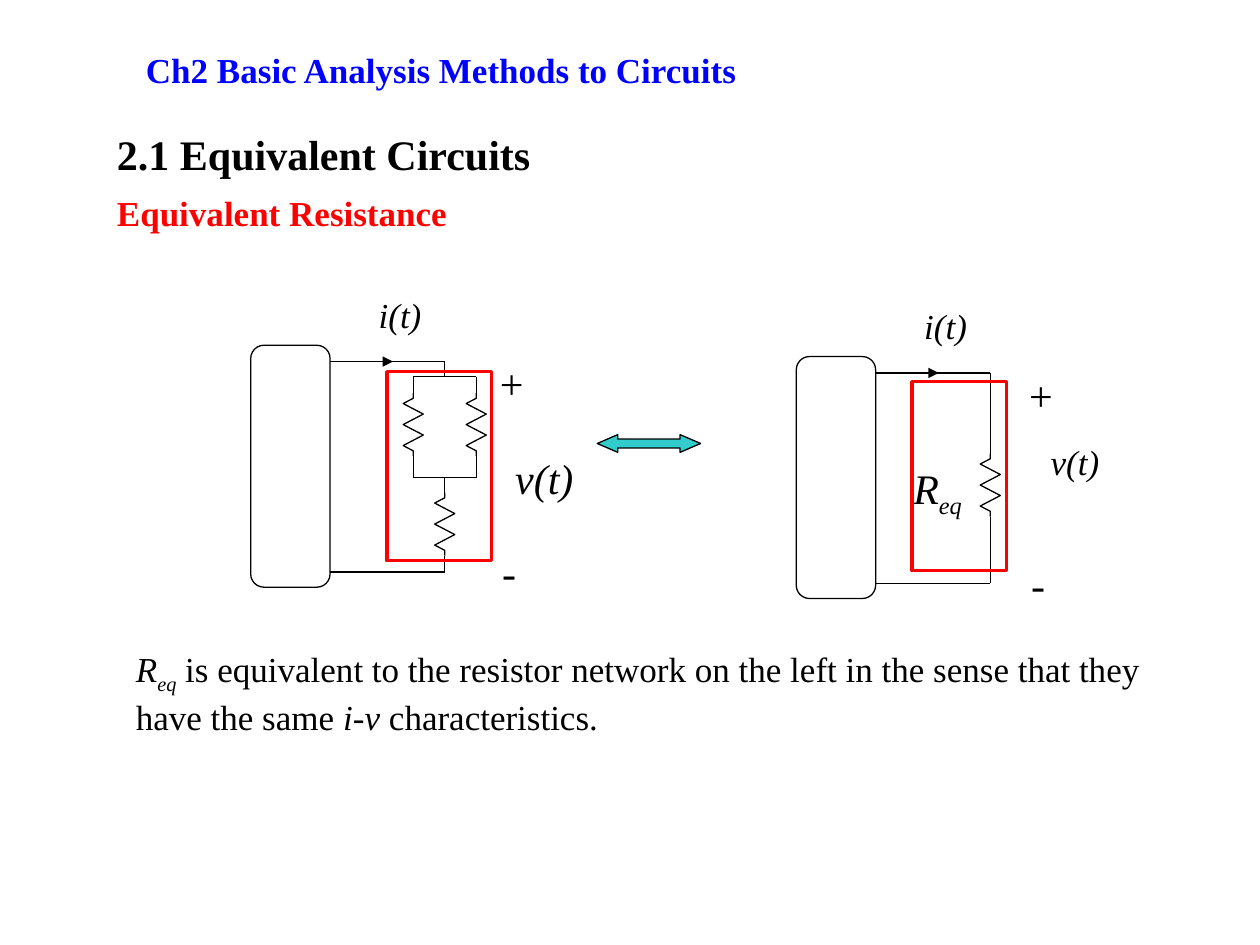
from pptx import Presentation
from pptx.dml.color import RGBColor
from pptx.enum.shapes import MSO_CONNECTOR as Connector, MSO_SHAPE as Shape
from pptx.enum.text import MSO_ANCHOR as Anchor, PP_ALIGN as Align
from pptx.oxml.ns import qn
from pptx.util import Inches, Pt
from lxml.etree import SubElement

WIDTH, HEIGHT = 10, 7.5
FONT = "Times New Roman"
COLORS = {"title": "0000FF", "accent": "FF0000", "ink": "000000", "arrow": "33CCCC"}
LEFT, CENTER = Align.LEFT, Align.CENTER

# Spans are (text, style); the style letters are i = italic, s = subscript.
# left, top, width, height, size, color, bold, anchor, spans
TEXTS = [
    (0.83, 0.97, 6.08, 0.5, 24, "ink", True, Anchor.TOP, [("2.1 Equivalent Circuits", "")]),
    (1.06, 0.28, 8.19, 0.55, 20, "title", True, Anchor.MIDDLE,
     [("Ch2 Basic Analysis Methods to Circuits", "")]),
    (0.83, 1.47, 4.73, 0.44, 20, "accent", True, Anchor.TOP, [("Equivalent Resistance", "")]),
    (0.98, 5.09, 8.27, 0.82, 20, "ink", False, Anchor.TOP,
     [("R", "i"), ("eq", "is"),
      (" is equivalent to the resistor network on the left in the sense that they have the same ", ""),
      ("i-v", "i"), (" characteristics.", "")]),
]

# Circuit parts are measured from the top left corner of the source block.
BLOCK_W, BLOCK_H = 0.63, 1.92
RAIL, TOP_WIRE, BOTTOM_WIRE = 1.54, 0.13, 1.8
BRANCHES = (RAIL - 0.25, RAIL + 0.25)
NODE, JOIN = 0.25, 1.05
RESISTOR_H, ZIG = 0.5, 0.08
UPPER, LOWER, SINGLE = 0.38, 1.17, 0.77

CIRCUITS = [
    {"origin": (1.99, 2.74),
     "resistors": [(x, UPPER) for x in BRANCHES] + [(RAIL, LOWER)],
     "wires": [(RAIL, TOP_WIRE, RAIL, NODE), (RAIL, JOIN, RAIL, LOWER),
               (RAIL, LOWER + RESISTOR_H, RAIL, BOTTOM_WIRE)]
     + [(BRANCHES[0], y, BRANCHES[1], y) for y in (NODE, JOIN)]
     + [(x, y1, x, y2) for x in BRANCHES
        for y1, y2 in ((NODE, UPPER), (UPPER + RESISTOR_H, JOIN))],
     "sign_x": 1.88,
     "labels": [(2.0, 0.8, 0.68, 0.5, 24, LEFT, [("v(t)", "i")])],
     "frame": (1.08, 0.21, 0.83, 1.5)},
    {"origin": (6.32, 2.83),
     "resistors": [(RAIL, SINGLE)],
     "wires": [(RAIL, TOP_WIRE, RAIL, SINGLE),
               (RAIL, SINGLE + RESISTOR_H, RAIL, BOTTOM_WIRE)],
     "sign_x": 1.75,
     "labels": [(1.92, 0.62, 0.68, 0.44, 20, LEFT, [("v(t)", "i")]),
                (0.83, 0.79, 0.68, 0.56, 24, LEFT, [("R", "i"), ("eq", "is")])],
     "frame": (0.92, 0.2, 0.75, 1.5)},
]


def rgb(name):
    return RGBColor.from_string(COLORS[name])


def add_text(page, left, top, width, height, size, spans, color="ink", bold=False,
             align=LEFT, anchor=Anchor.TOP):
    box = page.shapes.add_textbox(*map(Inches, (left, top, width, height)))
    frame = box.text_frame
    frame.word_wrap = True
    frame.vertical_anchor = anchor
    para = frame.paragraphs[0]
    para.alignment = align
    font = para.font
    font.name, font.size, font.bold = FONT, Pt(size), bold
    font.color.rgb = rgb(color)
    for text, style in spans:
        span = para.add_run()
        span.text = text
        span.font.italic = "i" in style
        if "s" in style:
            span.font._element.set("baseline", "-25000")


def style_shape(shape, fill=None, line="ink", weight=0.75):
    shape.shadow.inherit = False
    if fill:
        shape.fill.solid()
        shape.fill.fore_color.rgb = rgb(fill)
    else:
        shape.fill.background()
    shape.line.color.rgb = rgb(line)
    shape.line.width = Pt(weight)


def add_shape(page, kind, place, **style):
    shape = page.shapes.add_shape(kind, *map(Inches, place))
    style_shape(shape, **style)
    return shape


def add_wire(page, x1, y1, x2, y2, arrow=False):
    wire = page.shapes.add_connector(Connector.STRAIGHT, *map(Inches, (x1, y1, x2, y2)))
    wire.line.color.rgb = rgb("ink")
    wire.line.width = Pt(0.75)
    if arrow:
        SubElement(wire.line._get_or_add_ln(), qn("a:tailEnd"), type="triangle")
    SubElement(wire._element.spPr, qn("a:effectLst"))


def add_resistor(page, x, top):
    """Draw a vertical zigzag; its turns lie on twelfths of its height."""
    turns = [(1, 0), (2, -1), (4, 1), (6, -1), (8, 1), (10, -1), (11, 0), (12, 0)]
    points = [(Inches(x + side * ZIG), Inches(top + step * RESISTOR_H / 12))
              for step, side in turns]
    builder = page.shapes.build_freeform(Inches(x), Inches(top))
    builder.add_line_segments(points, close=False)
    style_shape(builder.convert_to_shape())


def add_circuit(page, circuit):
    x0, y0 = circuit["origin"]
    leads = [(BLOCK_W, y, RAIL, y) for y in (TOP_WIRE, BOTTOM_WIRE)]
    for x1, y1, x2, y2 in leads + circuit["wires"]:
        add_wire(page, x0 + x1, y0 + y1, x0 + x2, y0 + y2)
    add_wire(page, x0 + 1, y0 + TOP_WIRE, x0 + 1.13, y0 + TOP_WIRE, arrow=True)
    add_shape(page, Shape.ROUNDED_RECTANGLE, (x0, y0, BLOCK_W, BLOCK_H))
    for x, top in circuit["resistors"]:
        add_resistor(page, x0 + x, y0 + top)

    signs = [(circuit["sign_x"], y, 0.34, 0.5, 24, CENTER, [(sign, "")])
             for sign, y in (("+", 0.05), ("-", 1.55))]
    current = (0.66, -0.46, 1.05, 0.44, 20, CENTER, [("i(t)", "i")])
    for x, y, width, height, size, align, spans in [current] + signs + circuit["labels"]:
        add_text(page, x0 + x, y0 + y, width, height, size, spans, align=align)

    x, y, width, height = circuit["frame"]
    add_shape(page, Shape.RECTANGLE, (x0 + x, y0 + y, width, height), line="accent", weight=2)


def main():
    deck = Presentation()
    deck.slide_width, deck.slide_height = Inches(WIDTH), Inches(HEIGHT)
    page = deck.slides.add_slide(deck.slide_layouts[6])
    for left, top, width, height, size, color, bold, anchor, spans in TEXTS:
        add_text(page, left, top, width, height, size, spans, color, bold, anchor=anchor)
    for circuit in CIRCUITS:
        add_circuit(page, circuit)
    arrow = add_shape(page, Shape.LEFT_RIGHT_ARROW, (4.74, 3.45, 0.82, 0.14), fill="arrow")
    arrow.adjustments[0], arrow.adjustments[1] = 0.5, 1.16
    deck.save("out.pptx")


if __name__ == "__main__":
    main()
